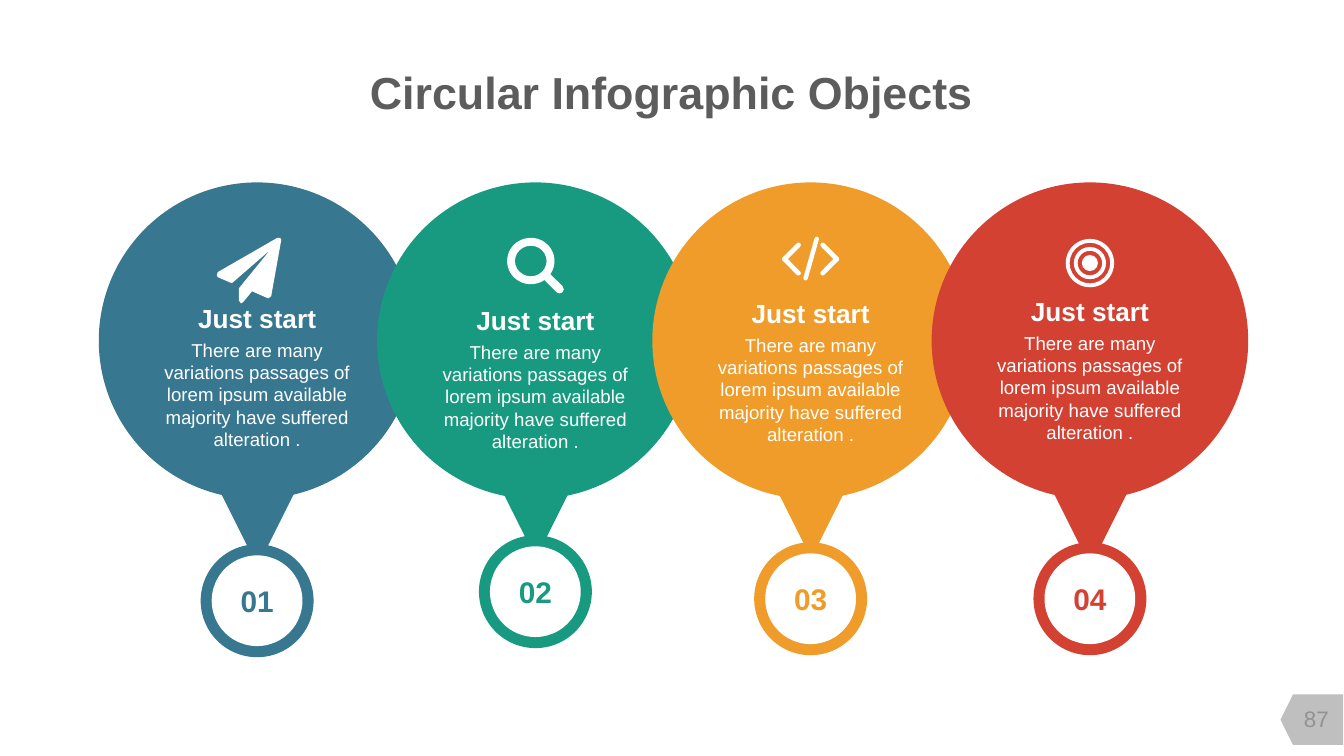
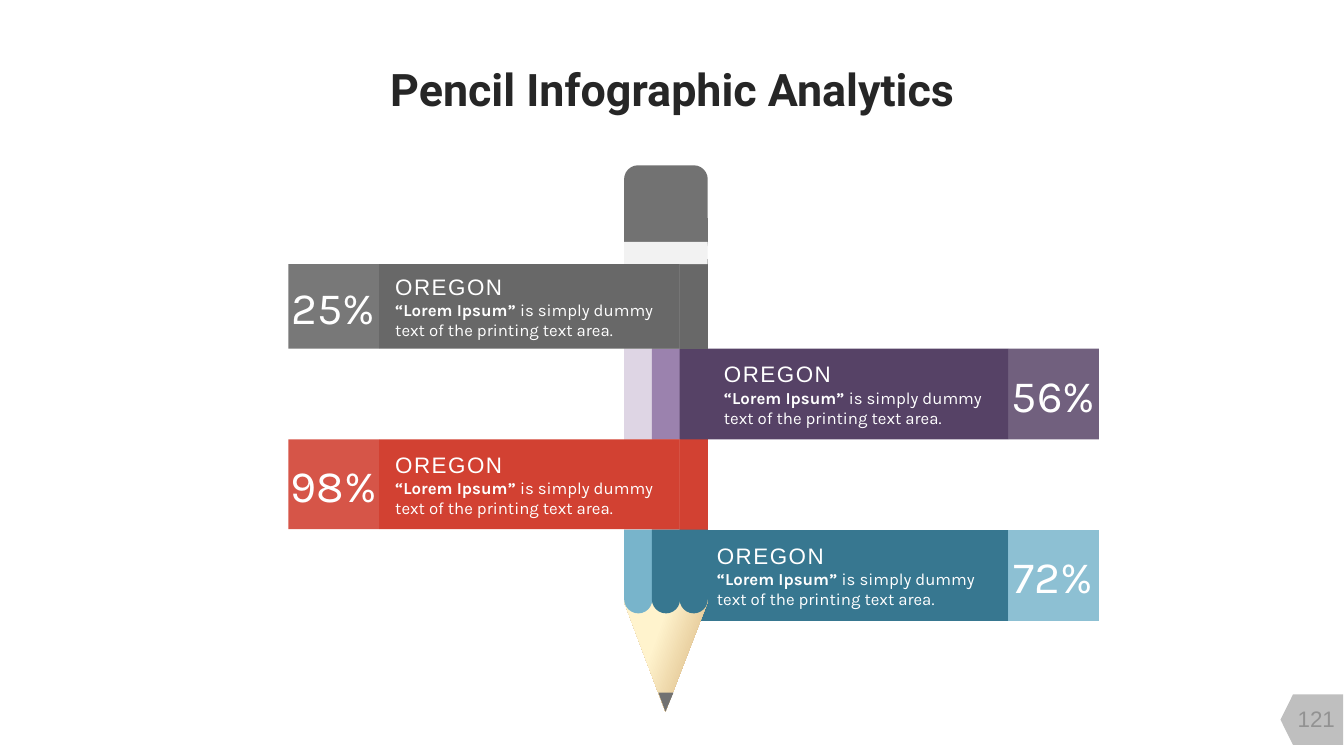
from pptx import Presentation
from pptx.dml.color import RGBColor
from pptx.enum.shapes import MSO_CONNECTOR, MSO_SHAPE
from pptx.enum.text import MSO_ANCHOR, PP_ALIGN
from pptx.oxml.ns import qn
from pptx.util import Inches, Pt
from lxml import etree

RECT = MSO_SHAPE.RECTANGLE
ROUND = MSO_SHAPE.ROUNDED_RECTANGLE
SCALLOP = MSO_SHAPE.ROUND_2_SAME_RECTANGLE
OVAL = MSO_SHAPE.OVAL
DONUT = MSO_SHAPE.DONUT
WEDGE = MSO_SHAPE.ISOSCELES_TRIANGLE
TAG = MSO_SHAPE.FLOWCHART_OFFPAGE_CONNECTOR
LINE = MSO_CONNECTOR.STRAIGHT
MID, TOP = MSO_ANCHOR.MIDDLE, MSO_ANCHOR.TOP
LEFT, CENTER = PP_ALIGN.LEFT, PP_ALIGN.CENTER

WHITE, BLUE, GREEN = "FFFFFF", "377790", "189A80"
AMBER, RED, PURPLE = "F09C2A", "D24132", "564266"
GRAY, LEAD, SKY = "686868", "727272", "78B4CB"

# Text formats
TITLE = dict(name="Arial", size=Pt(32), bold=True)
PAGE = dict(name="Arial", size=Pt(16))
HEAD = dict(name="Arial", size=Pt(18.7), bold=True)
BODY = dict(name="Arial", size=Pt(13.3))
NUMBER = dict(name="Arial", size=Pt(21.3), bold=True)
PLACE = dict(name="Arial", size=Pt(16))
LEAD_IN = dict(name="Karla", size=Pt(12), bold=True)
DETAIL = dict(name="Karla", size=Pt(12), bold=False)
SHARE = dict(name="Karla", size=Pt(32))

BALL_TEXT = ("There are many variations passages of lorem ipsum available "
             "majority have suffered alteration .")


def rgb(hue):
    return RGBColor.from_string(hue)


def put(item, values):
    for key, value in values.items():
        setattr(item, key, value)


def frame(shape, pad=(0, 0, 0, 0), anchor=MID, wrap=True):
    text = shape.text_frame
    left, top, right, bottom = (Inches(n) for n in pad)
    put(text, dict(margin_left=left, margin_top=top, margin_right=right,
                   margin_bottom=bottom, vertical_anchor=anchor,
                   word_wrap=wrap))
    return text


def write(para, text, style, hue, align=CENTER, gap=None):
    para.alignment = align
    run = para.add_run()
    run.text = text
    put(run.font, style)
    run.font.color.rgb = rgb(hue)
    if gap:
        run.font._element.set("spc", str(gap))


def paint(shape, hue, alpha=None):
    shape.shadow.inherit = False
    shape.line.fill.background()
    shape.fill.solid()
    shape.fill.fore_color.rgb = rgb(hue)
    if alpha:
        color = shape.fill._xPr.find(".//" + qn("a:srgbClr"))
        etree.SubElement(color, qn("a:alpha")).set("val", str(alpha * 1000))


def block(slide, kind, at, hue, alpha=None, adjust=None, turn=0):
    shape = slide.shapes.add_shape(kind, *(Inches(n) for n in at))
    paint(shape, hue, alpha)
    shape.rotation = turn
    if adjust is not None:
        shape.adjustments[0] = adjust
    return shape


def label(slide, at, text, style, hue, pad=(0, 0, 0, 0), anchor=TOP,
          wrap=True):
    box = slide.shapes.add_textbox(*(Inches(n) for n in at))
    write(frame(box, pad, anchor, wrap).paragraphs[0], text, style, hue)


def outline(slide, points, hue):
    spots = [(Inches(x), Inches(y)) for x, y in points]
    maker = slide.shapes.build_freeform(*spots[0])
    maker.add_line_segments(spots[1:], close=True)
    shape = maker.convert_to_shape()
    paint(shape, hue)
    return shape


def stroke(slide, ends, width):
    line = slide.shapes.add_connector(LINE, *(Inches(n) for n in ends))
    line.line.color.rgb = rgb(WHITE)
    line.line.width = Pt(width)
    line.line._get_or_add_ln().set("cap", "rnd")
    etree.SubElement(line._element.spPr, qn("a:effectLst"))


def start(deck, title, at, hue, page, font="Arial"):
    """Add a slide with its title and page tag."""
    slide = deck.slides.add_slide(deck.slide_layouts[6])
    pad = (0.1, 0.05, 0.1, 0.05)
    block(slide, TAG, (12.76, 6.83, 0.5, 0.62), "BFBFBF", turn=90)
    label(slide, (12.72, 6.93, 0.67, 0.4), page, PAGE, "929292", pad, MID)
    label(slide, at, title, {**TITLE, "name": font}, hue, pad)
    return slide


# Icons
def plane(slide):
    outline(slide, [(2.79, 2.38), (2.69, 2.94), (2.66, 2.96), (2.5, 2.89),
                    (2.41, 3), (2.39, 3.01), (2.37, 2.98), (2.37, 2.86),
                    (2.68, 2.48), (2.3, 2.81), (2.16, 2.75), (2.15, 2.73),
                    (2.16, 2.7), (2.75, 2.36), (2.78, 2.36)], WHITE)


def lens(slide):
    block(slide, DONUT, (5.03, 2.36, 0.47, 0.46), WHITE, adjust=0.17)
    stroke(slide, (5.42, 2.74, 5.55, 2.87), 6)


def code(slide):
    mid_x, mid_y = 8.04, 2.57
    stroke(slide, (7.99, 2.76, 8.1, 2.37), 3.2)
    for side in (-1, 1):
        for rise in (-1, 1):
            stroke(slide, (mid_x + 0.26 * side, mid_y,
                           mid_x + 0.12 * side, mid_y + 0.14 * rise), 3.4)


def target(slide):
    mid_x, mid_y = 10.81, 2.61
    for kind, size, ring in ((DONUT, 0.48, 0.08), (DONUT, 0.32, 0.12),
                             (OVAL, 0.16, None)):
        block(slide, kind, (mid_x - size / 2, mid_y - size / 2, size, size),
              WHITE, adjust=ring)


# Circular slide
def ball(slide, number, mid, hue, wedge, head, ring, icon):
    block(slide, OVAL, (mid - 1.57, 1.81, 3.14, 3.14), hue)
    block(slide, WEDGE, (mid - 0.4, wedge, 0.81, 0.81), hue, turn=180)
    label(slide, (mid - 0.96, head + 0.36, 1.92, 1.12), BALL_TEXT, BODY,
          WHITE)
    label(slide, (mid - 0.59, head, 1.18, 0.31), "Just start", HEAD, WHITE,
          wrap=False)
    icon(slide)
    block(slide, OVAL, (mid - 0.56, ring, 1.12, 1.12), hue)
    disc = block(slide, OVAL, (mid - 0.45, ring + 0.11, 0.9, 0.9), WHITE)
    write(frame(disc).paragraphs[0], f"{number:02}", NUMBER, hue)


def circles(deck):
    slide = start(deck, "Circular Infographic Objects",
                  (2.55, 0.59, 8.22, 0.52), "5C5C5C", "87")
    balls = [(2.55, BLUE, 4.81, 3, 5.4, plane),
             (5.31, GREEN, 4.73, 3.02, 5.31, lens),
             (8.04, AMBER, 4.73, 2.95, 5.38, code),
             (10.81, RED, 4.81, 2.93, 5.38, target)]
    for number, values in enumerate(balls, 1):
        ball(slide, number, *values)


# Pencil slide
def bar(slide, at, hue, pads, share, tile, tint, alpha):
    left, top, width, height = at
    panel = block(slide, RECT, at, hue)
    text = frame(panel, (pads[0], 0, pads[1], 0))
    write(text.paragraphs[0], "OREGON", PLACE, WHITE, LEFT, 110)
    para = text.add_paragraph()
    write(para, "“Lorem Ipsum” ", LEAD_IN, WHITE, LEFT)
    write(para, "is simply dummy text of the printing text area.", DETAIL,
          WHITE, LEFT)
    badge = block(slide, RECT, (tile, top, 0.9, height), tint, alpha)
    write(frame(badge).paragraphs[0], share, SHARE, WHITE)


def pencil(slide):
    left, width, step = 6.19, 0.83, 0.28
    right, mid = left + width, 6.6
    # Wood and lead
    wood = outline(slide, [(left, 5.62), (right, 5.62), (right, 5.97),
                           (mid, 7.06), (left, 5.97)], "FFF3CD")
    wood.fill.gradient()
    wood.fill.gradient_angle = 160
    stops = wood.fill.gradient_stops
    for stop, place, hue in zip(stops, (0, 0.58), ("D3AC73", "FFF3CD")):
        stop.position = place
        stop.color.rgb = rgb(hue)
    outline(slide, [(6.53, 6.87), (6.68, 6.87), (mid, 7.06)], LEAD)
    # Painted bands, light to dark
    bands = [("E1E1E1", "A4A4A4", GRAY), ("DED5E4", "9B82AE", PURPLE),
             ("F6D9D6", "E48D84", RED), (SKY, BLUE, BLUE)]
    for row, hues in enumerate(bands):
        top = 2.57 + 0.895 * row
        last = row == len(bands) - 1
        for col, hue in enumerate(hues):
            at = (left + 0.275 * col, top, step, 0.83 if last else 0.9)
            if last:
                block(slide, SCALLOP, at, hue, adjust=0.5, turn=180)
            else:
                block(slide, RECT, at, hue)
    # Eraser and collar
    block(slide, ROUND, (left, 1.64, width, 0.9), LEAD)
    block(slide, RECT, (left, 2.4, width, 0.22), "F2F2F2")


def analytics(deck):
    slide = start(deck, "Pencil Infographic Analytics",
                  (1.93, 0.56, 9.48, 0.42), "262626", "121", "Roboto")
    bar(slide, (6.87, 5.26, 3.13, 0.9), BLUE, (0.24, 0.16), "72%", 10, SKY,
        84)
    pencil(slide)
    bars = [((7.02, 3.46, 2.98, 0.9), PURPLE, (0.16, 0.2), "56%", 10, 84),
            ((3.76, 2.62, 2.98, 0.84), GRAY, (0.16, 0.16), "25%", 2.86, 89),
            ((3.76, 4.36, 2.98, 0.89), RED, (0.16, 0.16), "98%", 2.86, 89)]
    for at, hue, pads, share, tile, alpha in bars:
        bar(slide, at, hue, pads, share, tile, hue, alpha)


def main():
    deck = Presentation()
    put(deck, dict(slide_width=Inches(13.33), slide_height=Inches(7.5)))
    circles(deck)
    analytics(deck)
    deck.save("out.pptx")


if __name__ == "__main__":
    main()
